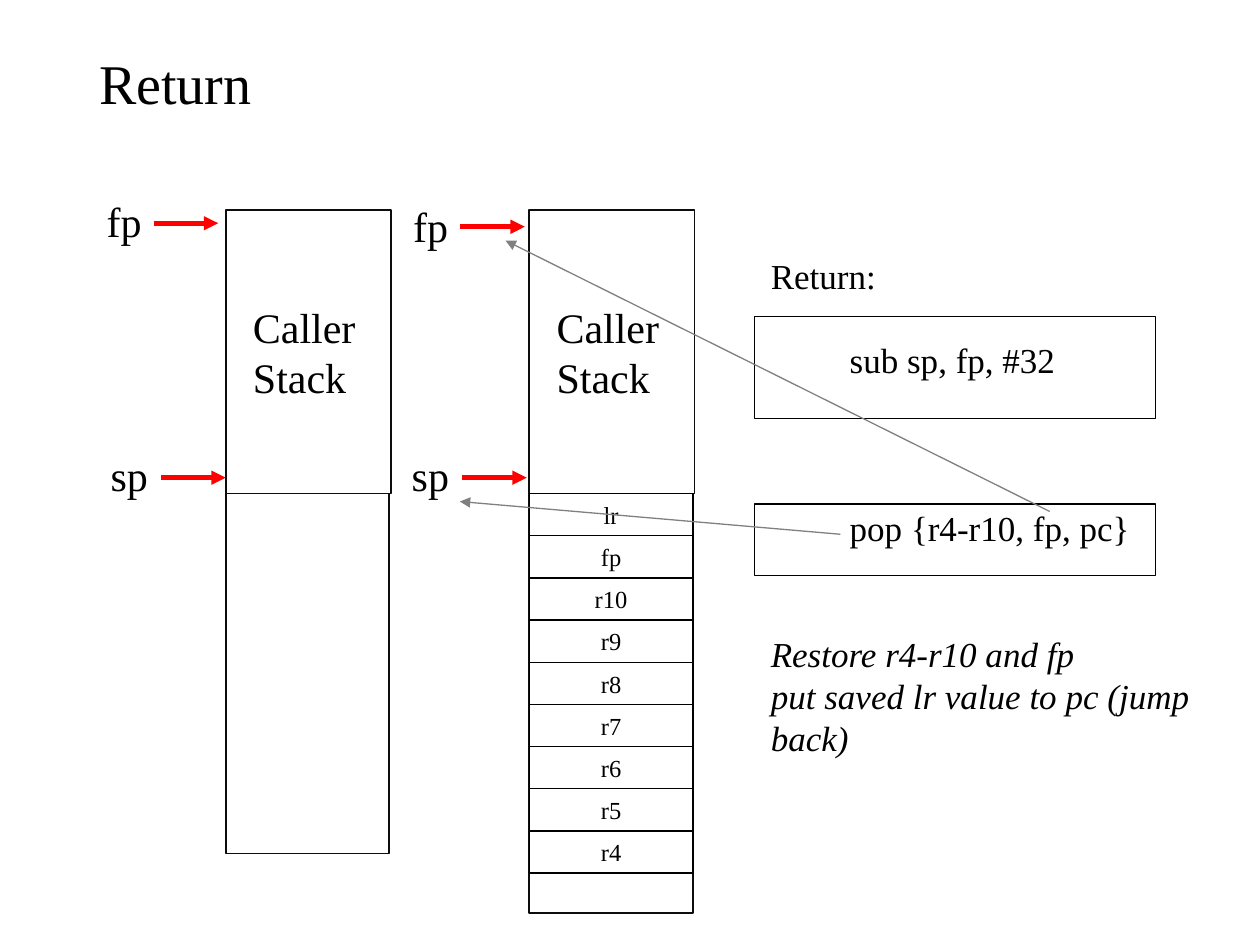
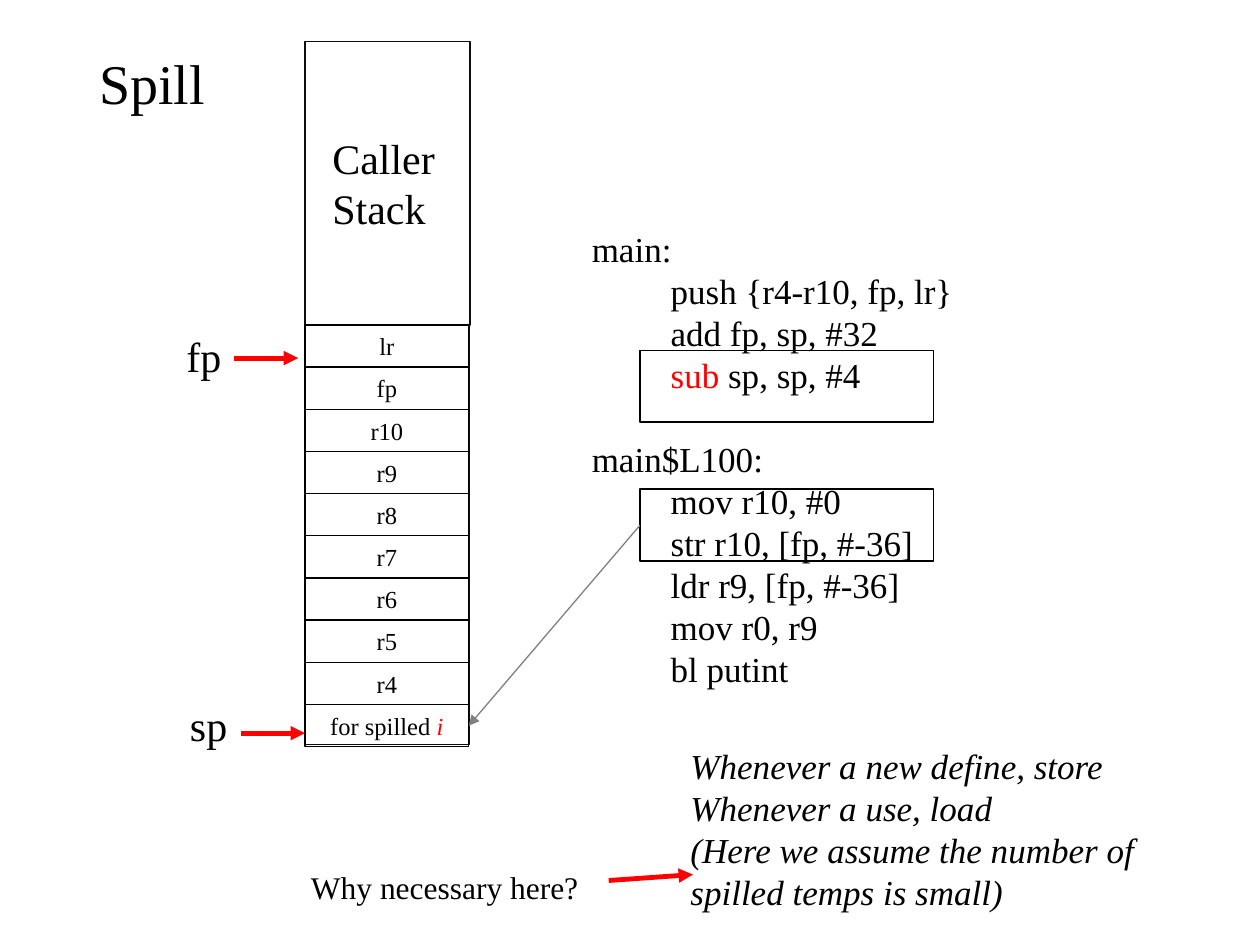
import pptx
import pptx.dml.color
import pptx.enum.shapes
import pptx.enum.text
import pptx.util
from pptx.oxml import parse_xml
from pptx.oxml.ns import nsdecls

Cm, Pt = pptx.util.Cm, pptx.util.Pt
ALIGN = pptx.enum.text.PP_ALIGN
ANCHOR = pptx.enum.text.MSO_ANCHOR
FONT = "Times New Roman"
LEAD = 1.2  # line pitch as a multiple of the font size
COLORS = {"ink": "000000", "edge": "0D0D0D", "red": "FF0000", "grey": "808080"}


def para(*runs, gap=0, step=0):
    """A paragraph: runs, lines left free above it, indent in steps."""
    return {"runs": runs, "gap": gap, "step": step}


# A run is a string, or a (string, format) pair.
RED, ITALIC = {"color": "red"}, {"italic": True}
SAVED = ["lr", "fp", "r10", "r9", "r8", "r7", "r6", "r5", "r4"]

# Places are in centimetres.
# stacks: left, top, height of the local part, cells
# marks: name, left, top, drop of the arrow below the top
# notes: left, top, width, height, size, paragraphs
# frames: left, top, width, height
# links: x1, y1, x2, y2, colour, width
SLIDES = [
    {
        "title": "Return",
        "stacks": [(4.55, 4.24, 7.26, []),
                   (10.67, 4.24, 8.46, SAVED)],
        "marks": [("fp", 1.9, 3.81, 0.69), ("sp", 1.98, 8.94, 0.69),
                  ("fp", 8.08, 3.91, 0.66), ("sp", 8.05, 8.94, 0.69)],
        "notes": [(15.29, 5, 9.73, 10.52, 20, [
            para("Return:"),
            para("sub sp, fp, #32", gap=1, step=1),
            para("pop {r4-r10, fp, pc}", gap=3, step=1),
            para(("Restore r4-r10 and fp", ITALIC), gap=2),
            para(("put saved lr value to pc (jump back)", ITALIC)),
        ])],
        "frames": [(15.21, 6.38, 8.08, 2.06), (15.21, 10.16, 8.08, 1.45)],
        "links": [(16.94, 10.77, 9.27, 10.11, "grey", 0.75),
                  (21.16, 10.31, 10.19, 4.85, "grey", 0.75)],
    },
    {
        "title": "Spill",
        "stacks": [(6.15, 0.84, 8.46,
                    SAVED + [("for spilled ", ("i", RED | ITALIC))])],
        "marks": [("fp", 3.51, 6.53, 0.69), ("sp", 3.58, 13.97, 0.81)],
        "notes": [
            (11.68, 4.45, 9.73, 9.65, 20, [
                para("main:"),
                para("push {r4-r10, fp, lr}", step=1),
                para("add fp, sp, #32", step=1),
                para(("sub ", RED), "sp, sp, #4", step=1),
                para("main$L100:", gap=1),
                para("mov r10, #0", step=1),
                para("str r10, [fp, #-36]", step=1),
                para("ldr r9, [fp, #-36]", step=1),
                para("mov r0, r9", step=1),
                para("bl putint", step=1),
            ]),
            (13.67, 14.88, 10.29, 3.68, 20, [
                para(("Whenever a new define, store", ITALIC)),
                para(("Whenever a use, load", ITALIC)),
                para(("(Here we assume the number of spilled temps is small)",
                      ITALIC)),
            ]),
            (6.02, 17.37, 6.32, 1.02, 18, [para("Why necessary here?")]),
        ],
        "frames": [(12.9, 7.06, 5.92, 1.45), (12.9, 9.86, 5.92, 1.45)],
        "links": [(12.9, 10.59, 9.45, 14.63, "grey", 0.75),
                  (12.27, 17.75, 13.97, 17.63, "red", 2.75)],
    },
]

TITLE = (1.75, 0.84, 21.92, 1.27)
CALLER = (3.33, 5.71)
LOCAL = 3.3
CELL = 0.85
LABEL = {"fp": 1.2, "sp": 1.27}
ARROW = 1.3
STEP = 1.59


def rgb(name):
    return pptx.dml.color.RGBColor.from_string(COLORS[name])


def place(box):
    return [Cm(n) for n in box]


def write(shape, paras, size=20, align=ALIGN.LEFT, anchor=ANCHOR.TOP, wrap=True):
    frame = shape.text_frame
    frame.word_wrap = wrap
    frame.auto_size = pptx.enum.text.MSO_AUTO_SIZE.NONE
    frame.vertical_anchor = anchor
    frame.margin_left = frame.margin_right = Cm(0.25)
    frame.margin_top = frame.margin_bottom = Cm(0.13)
    for i, item in enumerate(paras):
        p = frame.add_paragraph() if i else frame.paragraphs[0]
        p.alignment = align
        p.line_spacing = Pt(size * LEAD)
        p.space_before = Pt(item["gap"] * size * LEAD)
        p.space_after = Pt(0)
        if item["step"]:
            p._p.get_or_add_pPr().set("marL", str(Cm(STEP * item["step"])))
        for run in item["runs"]:
            words, style = (run, {}) if isinstance(run, str) else run
            r = p.add_run()
            r.text = words
            r.font.name = FONT
            r.font.size = Pt(size)
            r.font.italic = style.get("italic", False)
            r.font.color.rgb = rgb(style.get("color", "ink"))


def note(slide, box, paras, **style):
    write(slide.shapes.add_textbox(*place(box)), paras, **style)


def rect(slide, box, color="ink", width=0.75):
    kind = pptx.enum.shapes.MSO_SHAPE.RECTANGLE
    shape = slide.shapes.add_shape(kind, *place(box))
    shape.shadow.inherit = False
    shape.fill.background()
    shape.line.color.rgb = rgb(color)
    shape.line.width = Pt(width)
    return shape


def arrow(slide, x1, y1, x2, y2, color="red", width=2.75):
    kind = pptx.enum.shapes.MSO_CONNECTOR.STRAIGHT
    link = slide.shapes.add_connector(kind, *place((x1, y1, x2, y2)))
    link.line.color.rgb = rgb(color)
    link.line.width = Pt(width)
    head = parse_xml(f'<a:tailEnd {nsdecls("a")} type="triangle"/>')
    link.line._get_or_add_ln().append(head)
    link._element.spPr.append(parse_xml(f'<a:effectLst {nsdecls("a")}/>'))


def stack(slide, left, top, depth, cells):
    """The caller's part, the local part under it, and its saved cells."""
    base = top + CALLER[1]
    rect(slide, (left, base, LOCAL, depth), "edge", 1)
    rect(slide, (left, top, *CALLER), "edge", 1)
    note(slide, (left + 0.3, top + 1.7, 2.72, 2.31),
         [para("Caller Stack")], size=24)
    for i, cell in enumerate(cells):
        runs = (cell,) if isinstance(cell, str) else cell
        write(rect(slide, (left, base + i * CELL, LOCAL, CELL)), [para(*runs)],
              size=14, align=ALIGN.CENTER, anchor=ANCHOR.MIDDLE)


def mark(slide, name, left, top, drop):
    """A register name with a red arrow to its address."""
    wide = LABEL[name]
    note(slide, (left, top, wide, 1.27), [para(name)], size=24, wrap=False)
    start, y = left + wide, top + drop
    arrow(slide, start, y, start + ARROW, y)


def build(deck, data):
    slide = deck.slides.add_slide(deck.slide_layouts[5])
    title = slide.shapes.title
    title.left, title.top, title.width, title.height = place(TITLE)
    write(title, [para(data["title"])], size=32)
    for item in data["stacks"]:
        stack(slide, *item)
    for item in data["marks"]:
        mark(slide, *item)
    for *box, size, paras in data["notes"]:
        note(slide, box, paras, size=size)
    for box in data["frames"]:
        rect(slide, box)
    for item in data["links"]:
        arrow(slide, *item)


def main():
    deck = pptx.Presentation()
    deck.slide_width, deck.slide_height = Cm(25.4), Cm(19.05)
    for data in SLIDES:
        build(deck, data)
    deck.save("out.pptx")


if __name__ == "__main__":
    main()
